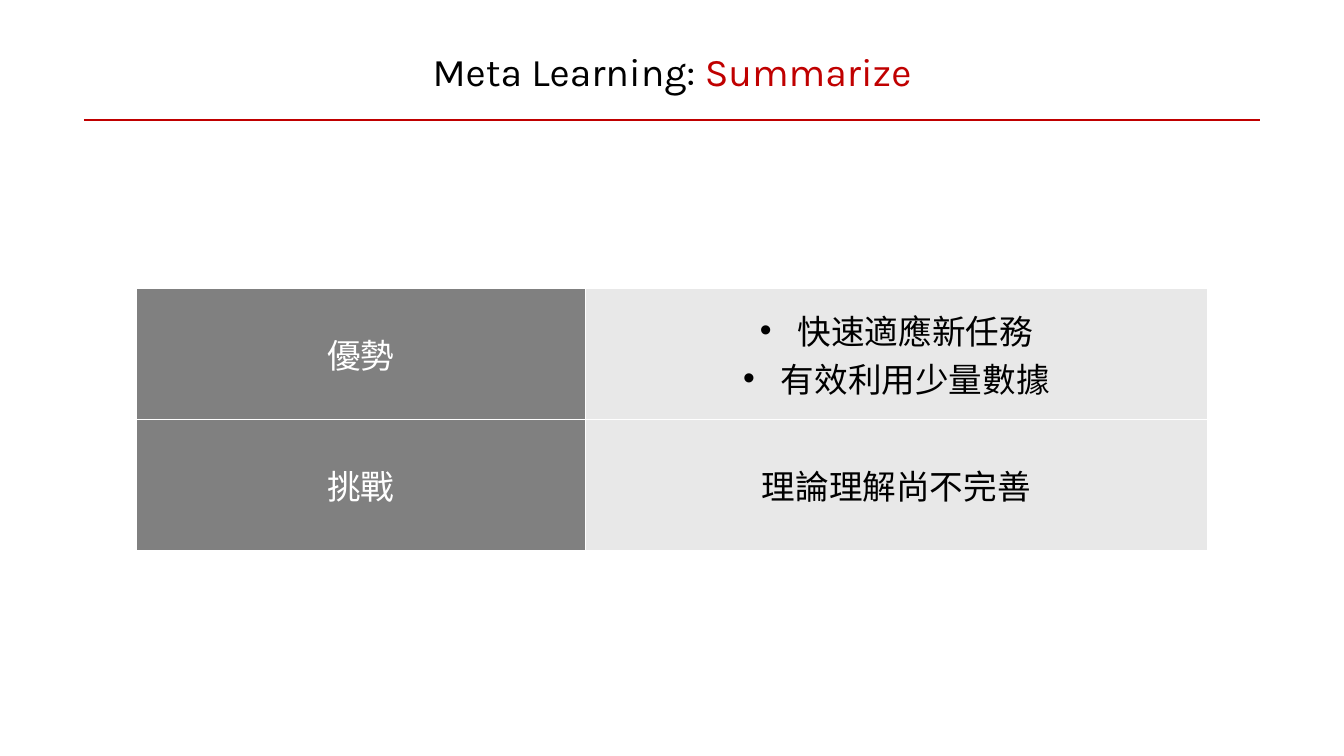
from lxml import etree
from pptx import Presentation
from pptx import util as u
from pptx.dml.color import RGBColor
from pptx.enum import shapes, text
from pptx.oxml.ns import qn

Pt = u.Pt
HUES = {"black": "000000", "red": "C00000", "white": "FFFFFF",
        "grey": "808080", "pale": "E8E8E8"}


class Deck:
    font = "Karla"

    def __init__(self, wide, high):
        self.prs = Presentation()
        self.prs.slide_width, self.prs.slide_height = Pt(wide), Pt(high)
        self.slide = self.prs.slides.add_slide(self.prs.slide_layouts[6])

    def hue(self, name):
        return RGBColor.from_string(HUES[name])

    def label(self, para, runs, size):
        para.alignment = text.PP_ALIGN.CENTER
        for words, hue in runs:
            run = para.add_run()
            run.text = words
            run.font.name, run.font.size = self.font, Pt(size)
            run.font.color.rgb = self.hue(hue)

    def title(self, left, top, wide, high, runs, size):
        box = self.slide.shapes.add_textbox(Pt(left), Pt(top), Pt(wide), Pt(high))
        box.text_frame.word_wrap = True
        self.label(box.text_frame.paragraphs[0], runs, size)

    def rule(self, left, right, top, hue, width):
        line = self.slide.shapes.add_connector(
            shapes.MSO_CONNECTOR.STRAIGHT, Pt(left), Pt(top), Pt(right), Pt(top))
        line.line.color.rgb, line.line.width = self.hue(hue), Pt(width)
        etree.SubElement(line._element.spPr, qn("a:effectLst"))

    def bullet(self, para, indent):
        props = para._p.get_or_add_pPr()
        props.set("marL", str(Pt(indent)))
        props.set("indent", str(-Pt(indent)))
        etree.SubElement(props, qn("a:buFont"), typeface="Arial")
        etree.SubElement(props, qn("a:buChar"), char="•")

    def border(self, cell, hue, width):
        props = cell._tc.get_or_add_tcPr()
        for side in "LRTB":
            edge = etree.SubElement(props, qn(f"a:ln{side}"), w=str(Pt(width)))
            fill = etree.SubElement(edge, qn("a:solidFill"))
            etree.SubElement(fill, qn("a:srgbClr"), val=HUES[hue])

    def cell(self, cell, lines, ink, back, size):
        self.border(cell, "white", 1)
        cell.fill.solid()
        cell.fill.fore_color.rgb = self.hue(back)
        cell.vertical_anchor = text.MSO_ANCHOR.MIDDLE
        frame = cell.text_frame
        for num, words in enumerate(lines):
            para = frame.add_paragraph() if num else frame.paragraphs[0]
            self.label(para, [(words, ink)], size)
            if len(lines) > 1:
                self.bullet(para, 27)

    def table(self, left, top, cols, high, rows, styles, size):
        grid = self.slide.shapes.add_table(
            len(rows), len(cols), Pt(left), Pt(top),
            Pt(sum(cols)), Pt(high * len(rows))).table
        for col, wide in zip(grid.columns, cols):
            col.width = Pt(wide)
        for y, row in enumerate(rows):
            grid.rows[y].height = Pt(high)
            for x, (lines, style) in enumerate(zip(row, styles)):
                self.cell(grid.cell(y, x), lines, *style, size)


def main():
    deck = Deck(960, 540)
    deck.title(60, 30, 840, 41,
               [("Meta Learning: ", "black"), ("Summarize", "red")], 28)
    deck.rule(60, 900, 85.5, "red", 1.5)
    deck.table(97.5, 206, [320.5, 444.5], 93.5,
               [[["優勢"], ["快速適應新任務", "有效利用少量數據"]],
                [["挑戰"], ["理論理解尚不完善"]]],
               [("white", "grey"), ("black", "pale")], 24)
    deck.prs.save("out.pptx")


if __name__ == "__main__":
    main()
